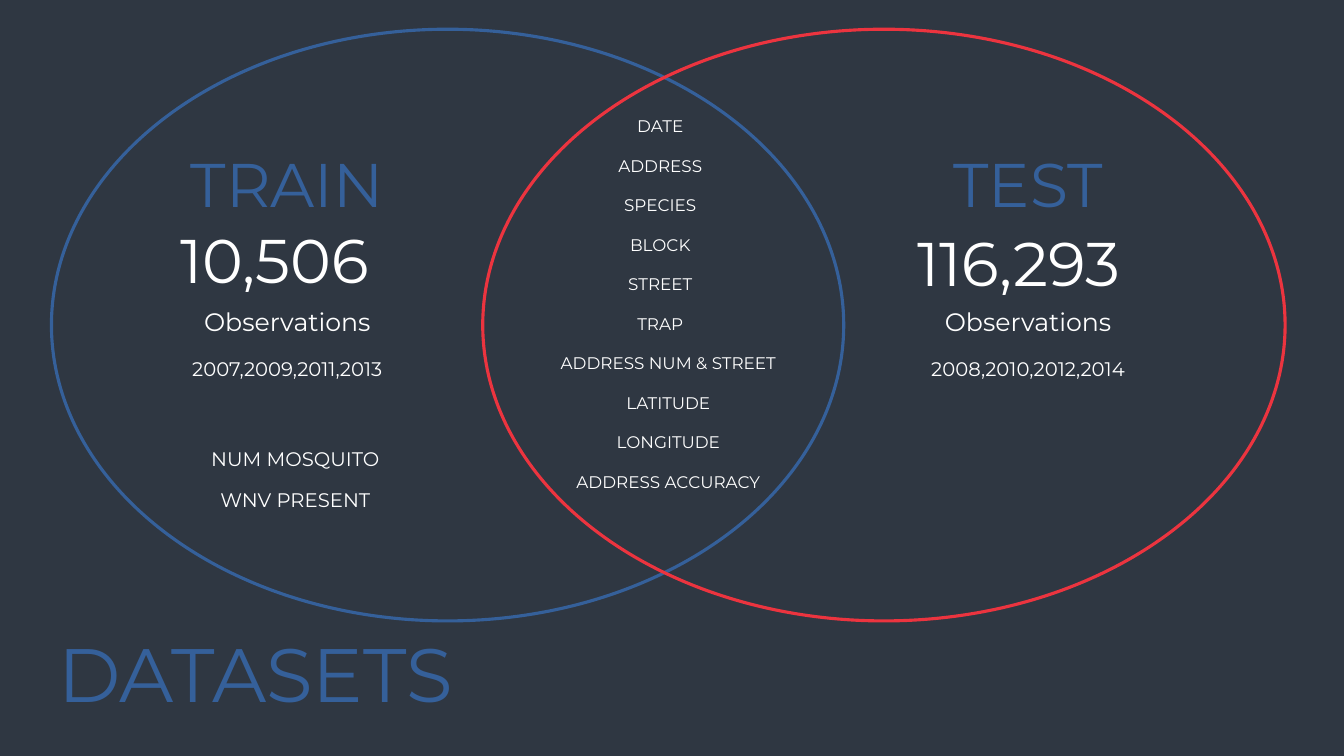
import pptx
import pptx.util
import pptx.dml.color
import pptx.enum.shapes
import pptx.enum.text
from dataclasses import dataclass

Inches, Pt = pptx.util.Inches, pptx.util.Pt
PP_ALIGN, MSO_ANCHOR = pptx.enum.text.PP_ALIGN, pptx.enum.text.MSO_ANCHOR
WIDTH, HEIGHT = 13.333, 7.5


@dataclass(frozen=True)
class Theme:
    """Colours, font and type sizes of the slide."""
    ground: str = "2F3742"
    blue: str = "35609A"
    red: str = "EC343F"
    white: str = "FFFFFF"
    font: str = "Montserrat"
    title: int = 54
    head: int = 44
    label: int = 18
    detail: int = 14
    field: int = 12
    outline: float = 2.25


THEME = Theme()

SHARED_FIELDS = [
    "DATE", "ADDRESS", "SPECIES", "BLOCK", "STREET", "TRAP",
    "ADDRESS NUM & STREET", "LATITUDE", "LONGITUDE", "ADDRESS ACCURACY",
]
TRAIN_FIELDS = ["NUM MOSQUITO", "WNV PRESENT"]


def rgb(code):
    """Turn a hex code into a colour."""
    return pptx.dml.color.RGBColor.from_string(code)


def box(x, y, w, h):
    """Turn percentages of the slide into left, top, width and height."""
    return (Inches(WIDTH * x / 100), Inches(HEIGHT * y / 100),
            Inches(WIDTH * w / 100), Inches(HEIGHT * h / 100))


def add_text(shapes, text, area, size, color=THEME.white, align=PP_ALIGN.CENTER,
             anchor=MSO_ANCHOR.TOP, spacing=None):
    """Add one line of text in an area given in percent."""
    tf = shapes.add_textbox(*box(*area)).text_frame
    tf.word_wrap = True
    tf.vertical_anchor = anchor
    p = tf.paragraphs[0]
    p.alignment = align
    p.line_spacing = spacing
    r = p.add_run()
    r.text = text
    r.font.name = THEME.font
    r.font.size = Pt(size)
    r.font.color.rgb = rgb(color)


def add_centred(shapes, text, center, top, size, color=THEME.white, width=21.75):
    """Add a line centred on a column, as tall as its type needs."""
    height = (size * 1.2 / 72 + 0.1) / HEIGHT * 100
    add_text(shapes, text, (center - width / 2, top, width, height), size, color)


def add_ellipse(shapes, area, color):
    """Add an unfilled ellipse with a coloured outline."""
    sp = shapes.add_shape(pptx.enum.shapes.MSO_SHAPE.OVAL, *box(*area))
    sp.shadow.inherit = False
    sp.fill.background()
    sp.line.color.rgb = rgb(color)
    sp.line.width = Pt(THEME.outline)


def add_dataset(shapes, name, count, years, center, count_center, count_top):
    """Add the name, observation count and years of one dataset."""
    add_centred(shapes, name, center, 18.67, THEME.head, THEME.blue)
    add_centred(shapes, count, count_center, count_top, THEME.head)
    add_centred(shapes, "Observations", center, 39.87, THEME.label)
    add_centred(shapes, years, center, 46.53, THEME.detail)


def add_fields(shapes, names, centers, top, step, size):
    """Add a group of evenly spaced field names."""
    group = shapes.add_group_shape().shapes
    for i, (name, center) in enumerate(zip(names, centers)):
        add_centred(group, name, center, top + i * step, size)


def main():
    """Build the slide and save it."""
    prs = pptx.Presentation()
    prs.slide_width, prs.slide_height = Inches(WIDTH), Inches(HEIGHT)
    s = prs.slides.add_slide(prs.slide_layouts[6])
    s.background.fill.solid()
    s.background.fill.fore_color.rgb = rgb(THEME.ground)

    add_text(s.shapes, "DATASETS", (3.6, 82.13, 50.33, 13.47), THEME.title,
             THEME.blue, PP_ALIGN.LEFT, MSO_ANCHOR.BOTTOM, 1.5)
    add_dataset(s.shapes, "TRAIN", "10,506", "2007,2009,2011,2013", 21.38, 20.45, 28.67)
    add_dataset(s.shapes, "TEST", "116,293", "2008,2010,2012,2014", 76.5, 75.8, 29.07)
    add_fields(s.shapes, SHARED_FIELDS, [49.13] * 6 + [49.73] * 4, 14.67, 5.23, THEME.field)
    add_fields(s.shapes, TRAIN_FIELDS, [21.98] * 2, 58.4, 5.47, THEME.detail)
    add_ellipse(s.shapes, (3.83, 3.87, 58.95, 78.27), THEME.blue)
    add_ellipse(s.shapes, (35.92, 3.87, 59.7, 78.27), THEME.red)
    prs.save("out.pptx")


main()
